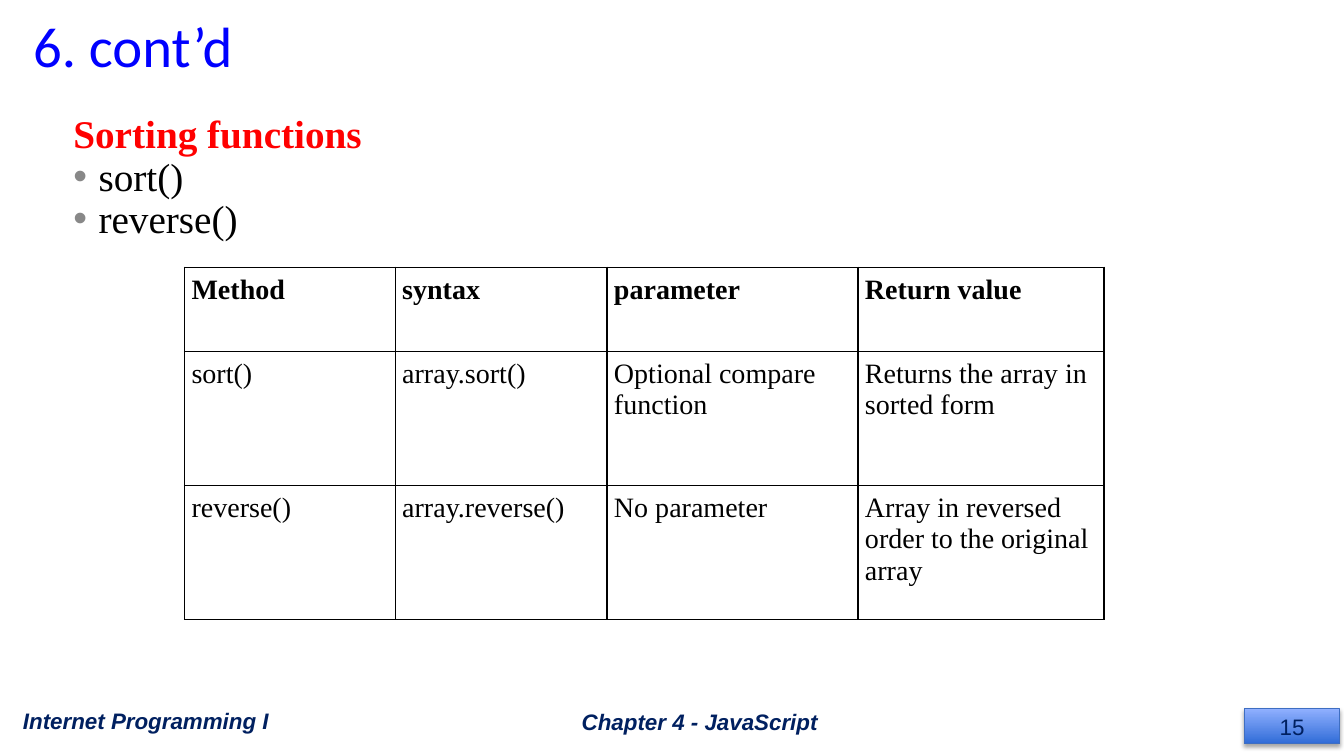
"""Build the slide on JavaScript array sorting functions."""
import pptx
import pptx.dml.color
import pptx.enum.shapes
import pptx.enum.text
import pptx.oxml
import pptx.oxml.ns
import pptx.util

Inches, Pt = pptx.util.Inches, pptx.util.Pt
PP_ALIGN, MSO_ANCHOR = pptx.enum.text.PP_ALIGN, pptx.enum.text.MSO_ANCHOR
NS = pptx.oxml.ns.nsdecls("a")


def rgb(value):
    return pptx.dml.color.RGBColor.from_string(value)


def write(p, text, name, size, color, bold=False, italic=False):
    p.text = text
    p.font.name, p.font.size = name, Pt(size)
    p.font.bold, p.font.italic = bold, italic
    p.font.color.rgb = rgb(color)


prs = pptx.Presentation()
prs.slide_width, prs.slide_height = Inches(13.33), Inches(7.5)
s = prs.slides.add_slide(prs.slide_layouts[6])

title = s.shapes.add_textbox(Inches(0.23), Inches(0.07), Inches(11.5), Inches(0.77))
tf = title.text_frame
tf.word_wrap = True
tf.vertical_anchor = MSO_ANCHOR.BOTTOM
write(tf.paragraphs[0], "6. cont’d", "Calibri", 40.5, "0000FF")
tf.paragraphs[0].line_spacing = 0.9

body = s.shapes.add_textbox(Inches(0.38), Inches(1.09), Inches(12.53), Inches(5.57))
tf = body.text_frame
tf.word_wrap = True
for i, text in enumerate(["Sorting functions", "sort()", "reverse()"]):
    p = tf.add_paragraph() if i else tf.paragraphs[0]
    write(p, text, "Times New Roman", 28, "000000" if i else "FF0000", bold=i == 0)
    p.line_spacing = 0.9
    pPr = p._p.get_or_add_pPr()
    pPr.set("marL", str(Inches(0.5)))
    pPr.set("indent", str(Inches(-0.25)))
    if i:
        bullet = [
            f'<a:buClr {NS}><a:srgbClr val="888888"/></a:buClr>',
            f'<a:buFont {NS} typeface="Arial"/>',
            f'<a:buChar {NS} char="•"/>',
        ]
        for j, xml in enumerate(bullet):
            pPr.insert(1 + j, pptx.oxml.parse_xml(xml))

footers = [
    ("Internet Programming I", 0.13, 6.95, 3, PP_ALIGN.LEFT),
    ("Chapter 4 - JavaScript", 4.69, 6.96, 4.5, PP_ALIGN.CENTER),
]
for text, x, y, w, align in footers:
    footer = s.shapes.add_textbox(Inches(x), Inches(y), Inches(w), Inches(0.4))
    tf = footer.text_frame
    tf.word_wrap = True
    tf.vertical_anchor = MSO_ANCHOR.MIDDLE
    write(tf.paragraphs[0], text, "Arial", 16, "002060", bold=True, italic=True)
    tf.paragraphs[0].alignment = align

number = s.shapes.add_shape(
    pptx.enum.shapes.MSO_SHAPE.RECTANGLE,
    Inches(12.34), Inches(7.03), Inches(0.95), Inches(0.35))
number.fill.gradient()
number.fill.gradient_angle = 90
for stop, color in zip(number.fill.gradient_stops, ["306CD7", "90B0FF"]):
    stop.color.rgb = rgb(color)
number.line.color.rgb = rgb("3E6EC2")
number.line.width = Pt(0.75)
number.shadow.inherit = False
effects = number._element.spPr.find(pptx.oxml.ns.qn("a:effectLst"))
effects.append(pptx.oxml.parse_xml(
    f'<a:outerShdw {NS} blurRad="{Pt(3.1)}" dist="{Pt(1.8)}" dir="5400000" rotWithShape="0">'
    '<a:srgbClr val="000000"><a:alpha val="35000"/></a:srgbClr></a:outerShdw>'))
p = number.text_frame.paragraphs[0]
write(p, "15", "Arial", 16, "002060")
p.alignment = PP_ALIGN.CENTER

rows = [
    ["Method", "syntax", "parameter", "Return value"],
    ["sort()", "array.sort()", "Optional compare function", "Returns the array in sorted form"],
    ["reverse()", "array.reverse()", "No parameter", "Array in reversed order to the original array"],
]
widths, heights = [2.09, 2.1, 2.49, 2.44], [0.84, 1.33, 1.33]
table = s.shapes.add_table(
    len(rows), len(widths), Inches(1.83), Inches(2.65),
    Inches(sum(widths)), Inches(sum(heights))).table
table.first_row = table.horz_banding = False
for column, width in zip(table.columns, widths):
    column.width = Inches(width)
for r, (texts, height) in enumerate(zip(rows, heights)):
    table.rows[r].height = Inches(height)
    for c, text in enumerate(texts):
        cell = table.cell(r, c)
        write(cell.text_frame.paragraphs[0], text, "Times New Roman", 20, "000000", bold=r == 0)
        cell.margin_left = cell.margin_right = Inches(0.07)
        cell.margin_top = cell.margin_bottom = Inches(0.07)
        tcPr = cell._tc.get_or_add_tcPr()
        for side in "LRTB":
            tcPr.append(pptx.oxml.parse_xml(
                f'<a:ln{side} {NS} w="{Pt(1)}"><a:solidFill><a:srgbClr val="000000"/>'
                f'</a:solidFill></a:ln{side}>'))
        cell.fill.background()

prs.save("out.pptx")
